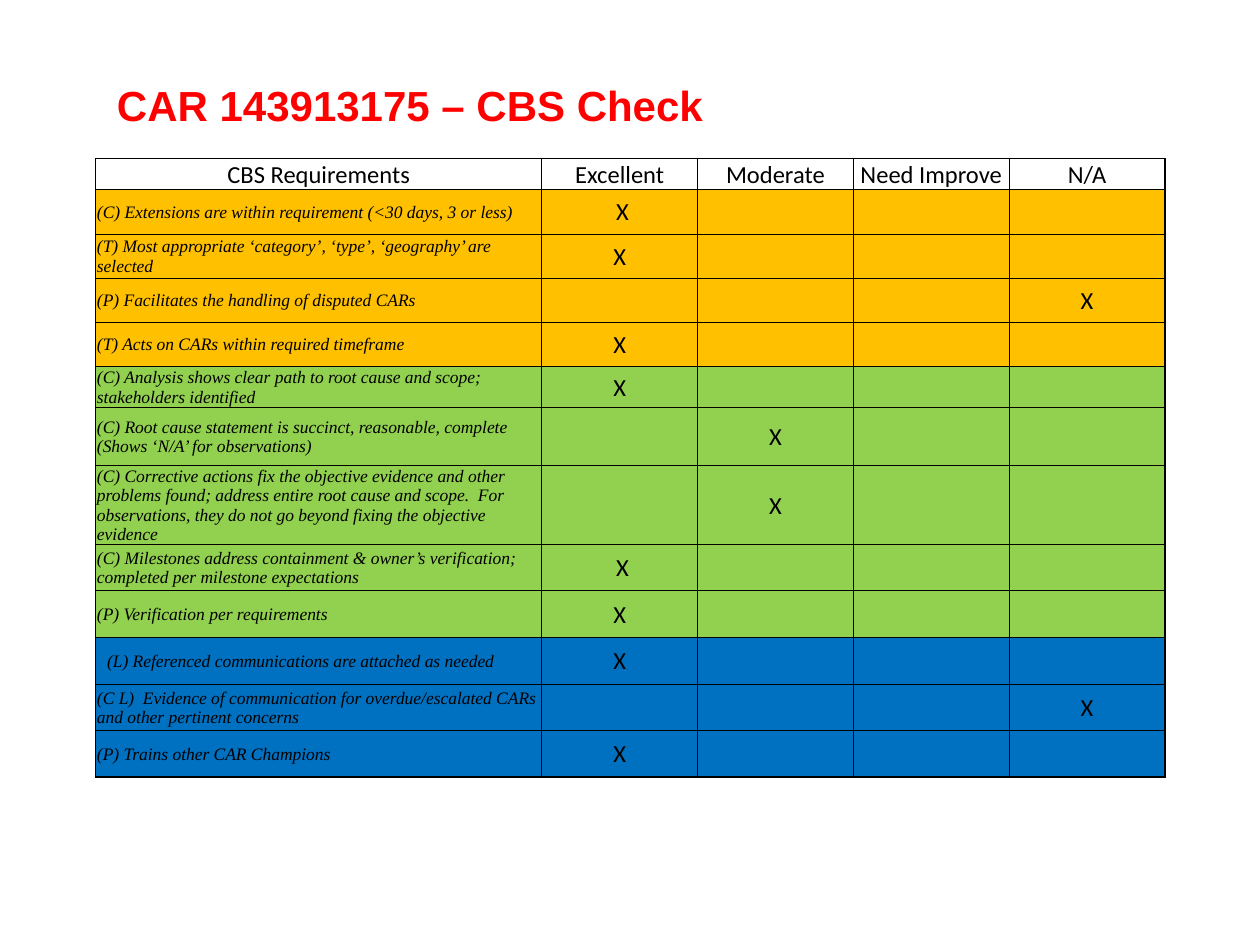
import pptx
import pptx.dml.color
import pptx.enum.text
import pptx.oxml
import pptx.oxml.ns
import pptx.util

COLORS = {
    "text": "000000",
    "title": "FF0000",
    "orange": "FFC000",
    "green": "92D050",
    "blue": "0070C0",
}
ALIGN = pptx.enum.text.PP_ALIGN
ANCHOR = pptx.enum.text.MSO_ANCHOR

HEADERS = ["CBS Requirements", "Excellent", "Moderate", "Need Improve", "N/A"]
HEADER_HEIGHT = 2.1
EXCELLENT, MODERATE, NOT_APPLICABLE = 1, 2, 4
REQUIREMENTS = [
    ("orange", 3.5, EXCELLENT, " X", "(C) Extensions are within requirement (<30 days, 3 or less)"),
    ("orange", 3.5, EXCELLENT, "X", "(T) Most appropriate ‘category’, ‘type’, ‘geography’ are selected"),
    ("orange", 3.5, NOT_APPLICABLE, "X", "(P) Facilitates the handling of disputed CARs"),
    ("orange", 3.5, EXCELLENT, "X", "(T) Acts on CARs within required timeframe"),
    ("green", 3.3, EXCELLENT, "X",
     "(C) Analysis shows clear path to root cause and scope; stakeholders identified"),
    ("green", 4.6, MODERATE, "X",
     "(C) Root cause statement is succinct, reasonable, complete (Shows ‘N/A’ for observations)"),
    ("green", 5, MODERATE, "X",
     "(C) Corrective actions fix the objective evidence and other problems found; address entire "
     "root cause and scope.  For observations, they do not go beyond fixing the objective evidence"),
    ("green", 3.7, EXCELLENT, " X",
     "(C) Milestones address containment & owner’s verification; completed per milestone expectations"),
    ("green", 3.7, EXCELLENT, "X", "(P) Verification per requirements"),
    ("blue", 3.7, EXCELLENT, "X", "(L) Referenced communications are attached as needed"),
    ("blue", 3.7, NOT_APPLICABLE, "X",
     "(C L)  Evidence of communication for overdue/escalated CARs and other pertinent concerns"),
    ("blue", 3.7, EXCELLENT, "X", "(P) Trains other CAR Champions"),
]
INDENTED = "(L)"


def write(frame, text, font="Calibri", size=14, color="text", bold=False, italic=False, align=ALIGN.LEFT):
    para = frame.paragraphs[0]
    para.alignment = align
    span = para.add_run()
    span.text = text
    span.font.name = font
    span.font.size = pptx.util.Pt(size)
    span.font.bold = bold
    span.font.italic = italic
    span.font.color.rgb = pptx.dml.color.RGBColor.from_string(COLORS[color])


class Page:
    """Holds the grid of 100 columns by 75 rows and the slide being built."""

    columns, rows = 100, 75

    def __init__(self, deck):
        self.deck = deck
        self.slide = deck.slides.add_slide(deck.slide_layouts[6])

    def across(self, columns):
        return round(self.deck.slide_width * columns / self.columns)

    def down(self, rows):
        return round(self.deck.slide_height * rows / self.rows)

    def place(self, left, top, width, height):
        return self.across(left), self.down(top), self.across(width), self.down(height)

    def title(self, text, *area):
        box = self.slide.shapes.add_textbox(*self.place(*area))
        box.text_frame.word_wrap = True
        box.text_frame.auto_size = pptx.enum.text.MSO_AUTO_SIZE.SHAPE_TO_FIT_TEXT
        write(box.text_frame, text, font="Arial", size=24, color="title", bold=True)

    def table(self, left, top, widths, heights):
        area = self.place(left, top, sum(widths), sum(heights))
        table = self.slide.shapes.add_table(len(heights), len(widths), *area).table
        table.first_row = table.horz_banding = False
        for column, width in zip(table.columns, widths):
            column.width = self.across(width)
        for row, height in zip(table.rows, heights):
            row.height = self.down(height)
        return table

    def cell(self, table, row, column, fill=None, anchor=ANCHOR.MIDDLE, indent=0.1):
        cell = table.cell(row, column)
        cell.vertical_anchor = anchor
        cell.margin_left = self.across(indent)
        cell.margin_right = self.across(0.1)
        cell.margin_top = self.down(0.1)
        cell.margin_bottom = 0
        outer = {
            "L": column == 0,
            "R": column == len(table.columns) - 1,
            "T": row == 0,
            "B": row == len(table.rows) - 1,
        }
        for side, is_outer in outer.items():
            self.border(cell, side, 1 if is_outer else 0.5)
        if fill:
            cell.fill.solid()
            cell.fill.fore_color.rgb = pptx.dml.color.RGBColor.from_string(COLORS[fill])
        else:
            cell.fill.background()
        return cell.text_frame

    def border(self, cell, side, points):
        namespace = pptx.oxml.ns.nsdecls("a")
        line = pptx.oxml.parse_xml(
            f'<a:ln{side} {namespace} w="{pptx.util.Pt(points)}"><a:solidFill>'
            f'<a:srgbClr val="{COLORS["text"]}"/></a:solidFill></a:ln{side}>'
        )
        cell._tc.get_or_add_tcPr().append(line)


def main():
    deck = pptx.Presentation()
    deck.slide_width = pptx.util.Inches(10)
    deck.slide_height = pptx.util.Inches(7.5)
    page = Page(deck)

    heights = [HEADER_HEIGHT] + [height for _, height, *_ in REQUIREMENTS]
    table = page.table(7.6, 12.6, [35.4] + [12.37] * 4, heights)
    for column, header in enumerate(HEADERS):
        write(page.cell(table, 0, column, anchor=ANCHOR.BOTTOM), header, align=ALIGN.CENTER)
    for row, (fill, _, rating, mark, requirement) in enumerate(REQUIREMENTS, start=1):
        indent = 0.9 if requirement.startswith(INDENTED) else 0.1
        write(page.cell(table, row, 0, fill, indent=indent), requirement,
              font="Times New Roman", size=10, italic=True)
        for column in range(1, len(HEADERS)):
            frame = page.cell(table, row, column, fill)
            if column == rating:
                write(frame, mark, align=ALIGN.CENTER)

    page.title("CAR 143913175 – CBS Check", 8.3, 5.8, 84.2, 5)
    deck.save("out.pptx")


if __name__ == "__main__":
    main()
